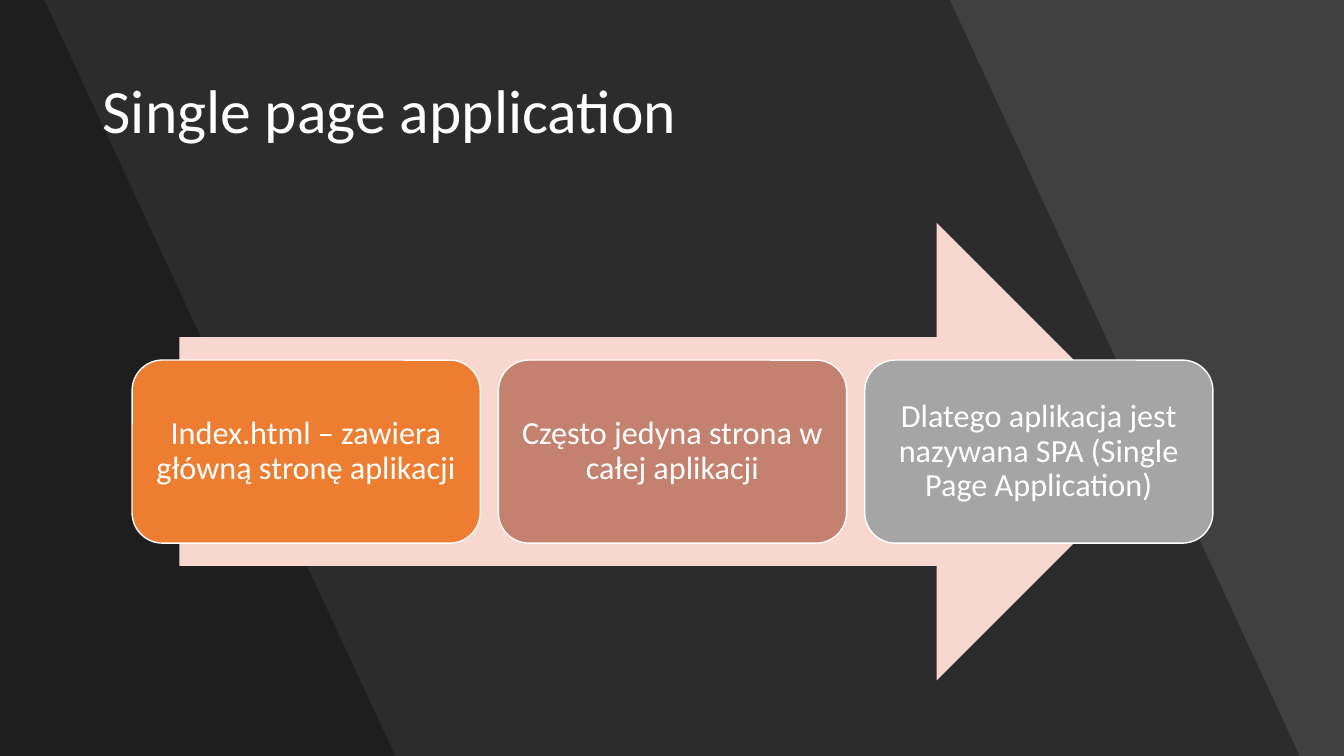
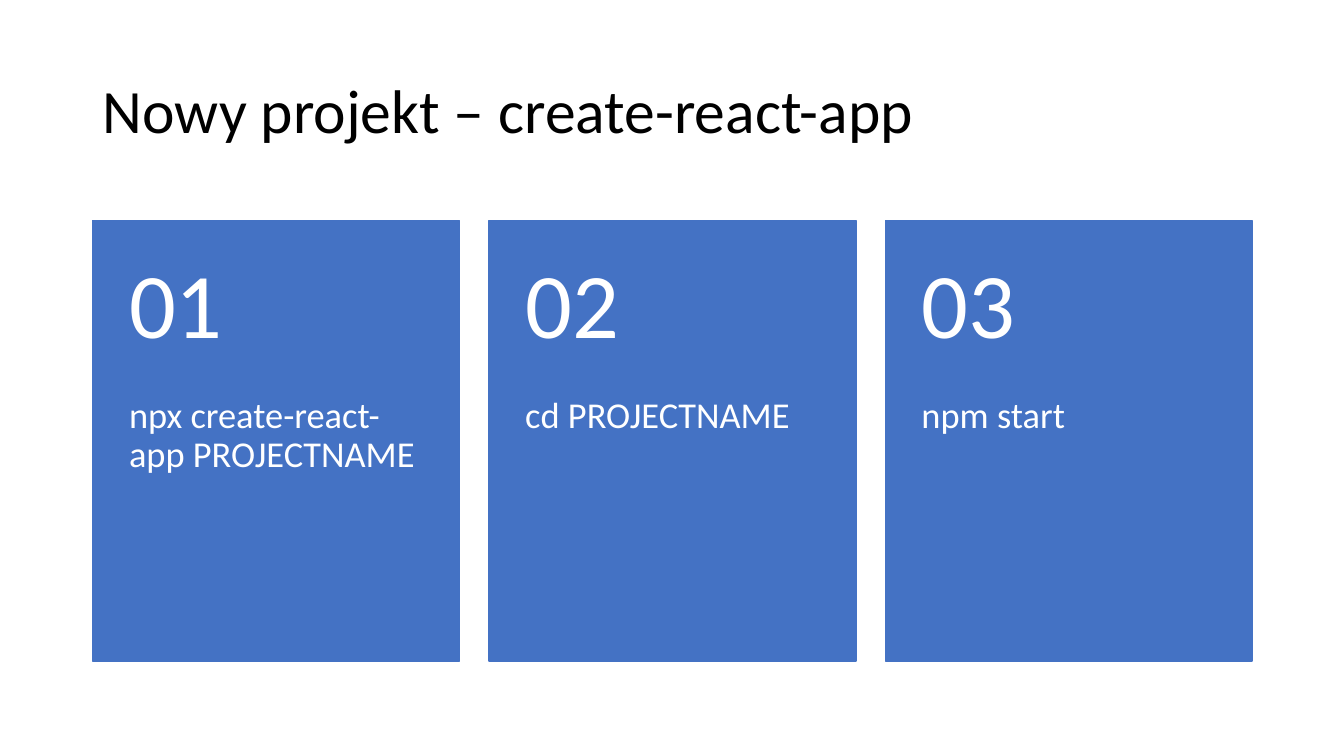
from lxml import etree
from pptx import Presentation
from pptx import util as u
from pptx.dml import color
from pptx.enum import shapes, text
from pptx.oxml import ns

PX = 9144
WIDE, HIGH = 1333, 750
FONT = "Calibri"
HUES = {
    "dark": "404040", "black": "000000", "white": "FFFFFF",
    "pale": "F8D7CE", "orange": "ED7D31", "rose": "C48170",
    "gray": "A5A5A5", "blue": "4472C4",
}
KIND = shapes.MSO_SHAPE
MID, TOP = text.MSO_ANCHOR.MIDDLE, text.MSO_ANCHOR.TOP
LEFT, CENTER = text.PP_ALIGN.LEFT, text.PP_ALIGN.CENTER


def px(*nums):
    return [u.Emu(round(n * PX)) for n in nums]


def rgb(hue):
    return color.RGBColor.from_string(HUES[hue])


def paint(shape, fill, line=None):
    shape.shadow.inherit = False
    shape.fill.solid()
    shape.fill.fore_color.rgb = rgb(fill)
    if line:
        shape.line.color.rgb = rgb(line)
        shape.line.width = u.Pt(1)
    else:
        shape.line.fill.background()


def write(shape, words, size, hue, pads, anchor=MID, align=LEFT):
    frame = shape.text_frame
    frame.text = words
    frame.word_wrap = True
    frame.vertical_anchor = anchor
    (frame.margin_left, frame.margin_top,
     frame.margin_right, frame.margin_bottom) = px(*pads)
    para = frame.paragraphs[0]
    para.alignment = align
    para.line_spacing = 0.9
    for run in para.runs:
        run.font.name = FONT
        run.font.size = u.Pt(size)
        run.font.color.rgb = rgb(hue)


def start(deck, back, title, hue):
    slide = deck.slides.add_slide(deck.slide_layouts[6])
    slide.background.fill.solid()
    slide.background.fill.fore_color.rgb = rgb(back)
    if back == "dark":
        shade(slide, 942, 1289)
        shade(slide, 44, 392)
    box = slide.shapes.add_textbox(*px(92, 40, 1150, 145))
    write(box, title, 44, hue, (10, 5, 10, 5))
    return slide


def shade(slide, top, base):
    pen = slide.shapes.build_freeform(0, 0, scale=PX)
    pen.add_line_segments([(top, 0), (base, HIGH), (0, HIGH)], close=True)
    band = pen.convert_to_shape()
    paint(band, "black")
    tint = band.fill._xPr.find(".//" + ns.qn("a:srgbClr"))
    etree.SubElement(tint, ns.qn("a:alpha"), val="30000")


def flow(slide, box, steps):
    x, y, w, h = box
    inset, gap = 47, 18
    arrow = slide.shapes.add_shape(
        KIND.RIGHT_ARROW, *px(x + inset, y, w - 2 * inset, h))
    paint(arrow, "pale")
    wide = (w - gap * (len(steps) - 1)) / len(steps)
    tall = h * 0.4
    for i, (words, hue) in enumerate(steps):
        step = slide.shapes.add_shape(
            KIND.ROUNDED_RECTANGLE,
            *px(x + i * (wide + gap), y + (h - tall) / 2, wide, tall))
        paint(step, hue, "white")
        write(step, words, 23, "white", (9, 9, 9, 9), align=CENTER)


def card(slide, box, num, words):
    x, y, w, h = box
    head = h * 0.4
    group = slide.shapes.add_group_shape().shapes
    panel = group.add_shape(KIND.RECTANGLE, *px(x, y, w, h))
    paint(panel, "blue", "blue")
    body = group.add_textbox(*px(x, y + head, w, h - head))
    write(body, words, 26, "white", (36, 0, 36, 36), TOP)
    label = group.add_textbox(*px(x, y, w, head))
    write(label, f"{num:02}", 66, "white", (36, 18, 36, 18))


def cards(slide, box, items):
    x, y, w, h = box
    gap = 29
    wide = (w - gap * (len(items) - 1)) / len(items)
    for i, words in enumerate(items):
        card(slide, (x + i * (wide + gap), y, wide, h), i + 1, words)


def main():
    deck = Presentation()
    deck.slide_width, deck.slide_height = px(WIDE, HIGH)

    slide = start(deck, "dark", "Single page application", "white")
    flow(slide, (131, 221, 1072, 454), [
        ("Index.html – zawiera główną stronę aplikacji", "orange"),
        ("Często jedyna strona w całej aplikacji", "rose"),
        ("Dlatego aplikacja jest nazywana SPA (Single Page Application)",
         "gray"),
    ])

    slide = start(deck, "white", "Nowy projekt – create-react-app", "black")
    cards(slide, (92, 219, 1150, 437), [
        "npx create-react-app PROJECTNAME",
        "cd PROJECTNAME",
        "npm start",
    ])

    deck.save("out.pptx")


if __name__ == "__main__":
    main()
